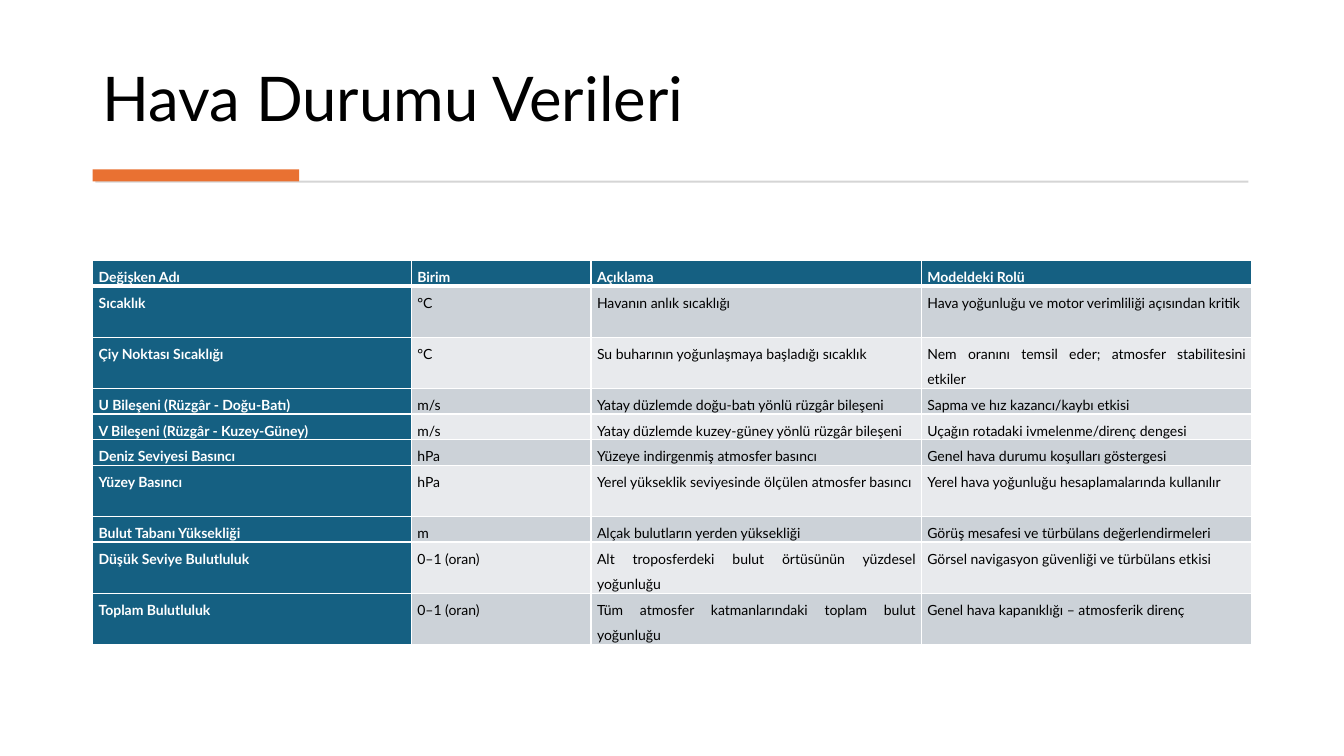
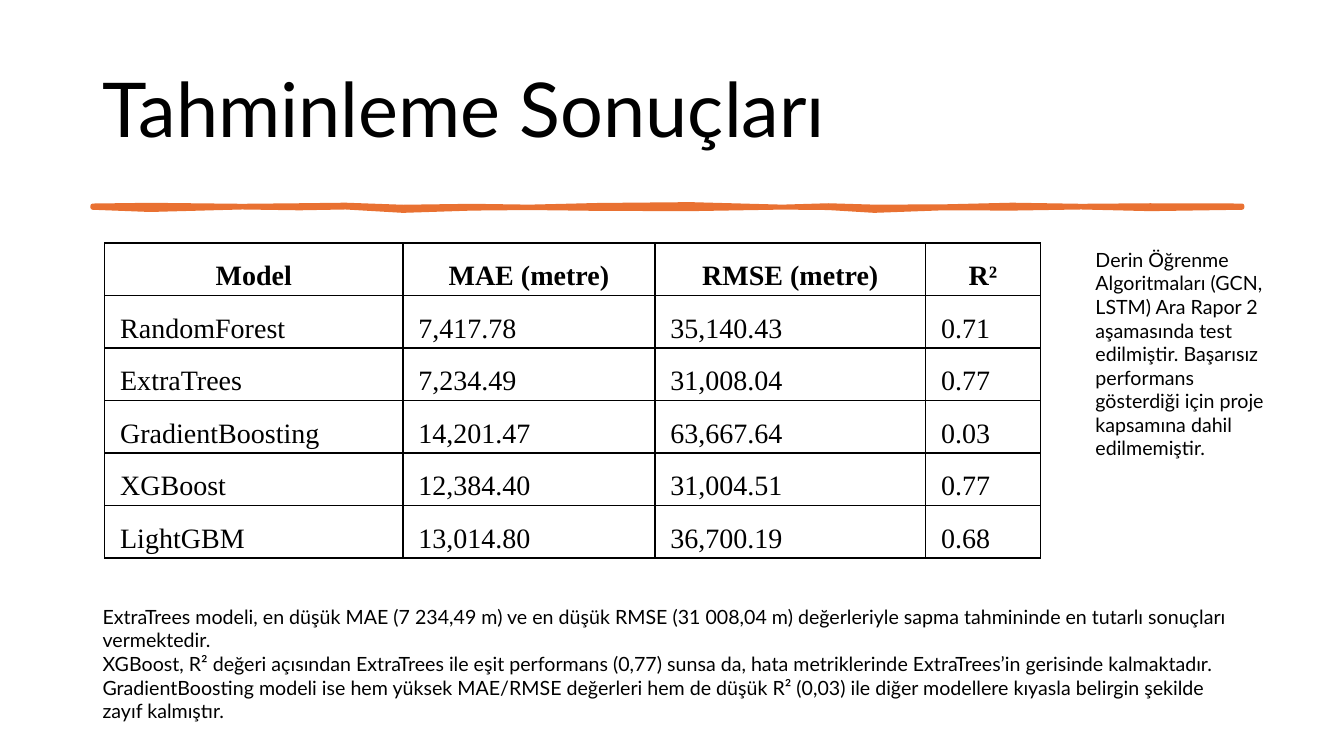
from collections import namedtuple
from dataclasses import dataclass

from pptx import Presentation
from pptx.dml.color import RGBColor as Rgb
from pptx.enum.shapes import MSO_SHAPE as Preset
from pptx.enum.text import MSO_ANCHOR as Anchor, PP_ALIGN as Align
from pptx.oxml.ns import qn
from pptx.util import Pt
from lxml.etree import SubElement

Box = namedtuple("Box", "left top width height")
Look = namedtuple("Look", "size color bold align font")
Edges = namedtuple("Edges", "color header_bottom")


@dataclass(frozen=True)
class Theme:
    font: str = "Lato"
    table_font: str = "Times New Roman"
    black: str = "000000"
    white: str = "FFFFFF"
    orange: str = "E97132"
    gray: str = "D5D5D5"
    blue: str = "156082"
    bands: tuple = ("CCD2D8", "E8EAED")
    title: int = 44
    large_title: int = 54
    note: int = 14
    weather_cell: int = 10
    result_cell: int = 20


THEME = Theme()

WEATHER = [
    ("Değişken Adı", "Birim", "Açıklama", "Modeldeki Rolü"),
    ("Sıcaklık", "°C", "Havanın anlık sıcaklığı",
     "Hava yoğunluğu ve motor verimliliği açısından kritik"),
    ("Çiy Noktası Sıcaklığı", "°C", "Su buharının yoğunlaşmaya başladığı sıcaklık",
     "Nem oranını temsil eder; atmosfer stabilitesini etkiler"),
    ("U Bileşeni (Rüzgâr - Doğu-Batı)", "m/s",
     "Yatay düzlemde doğu-batı yönlü rüzgâr bileşeni", "Sapma ve hız kazancı/kaybı etkisi"),
    ("V Bileşeni (Rüzgâr - Kuzey-Güney)", "m/s",
     "Yatay düzlemde kuzey-güney yönlü rüzgâr bileşeni",
     "Uçağın rotadaki ivmelenme/direnç dengesi"),
    ("Deniz Seviyesi Basıncı", "hPa", "Yüzeye indirgenmiş atmosfer basıncı",
     "Genel hava durumu koşulları göstergesi"),
    ("Yüzey Basıncı", "hPa", "Yerel yükseklik seviyesinde ölçülen atmosfer basıncı",
     "Yerel hava yoğunluğu hesaplamalarında kullanılır"),
    ("Bulut Tabanı Yüksekliği", "m", "Alçak bulutların yerden yüksekliği",
     "Görüş mesafesi ve türbülans değerlendirmeleri"),
    ("Düşük Seviye Bulutluluk", "0–1 (oran)",
     "Alt troposferdeki bulut örtüsünün yüzdesel yoğunluğu",
     "Görsel navigasyon güvenliği ve türbülans etkisi"),
    ("Toplam Bulutluluk", "0–1 (oran)",
     "Tüm atmosfer katmanlarındaki toplam bulut yoğunluğu",
     "Genel hava kapanıklığı – atmosferik direnç"),
]
WEATHER_ROW_LINES = (1, 2, 2, 1, 1, 1, 2, 1, 2, 2)

RESULTS = [
    ("Model", "MAE (metre)", "RMSE (metre)", "R²"),
    ("RandomForest", "7,417.78", "35,140.43", "0.71"),
    ("ExtraTrees", "7,234.49", "31,008.04", "0.77"),
    ("GradientBoosting", "14,201.47", "63,667.64", "0.03"),
    ("XGBoost", "12,384.40", "31,004.51", "0.77"),
    ("LightGBM", "13,014.80", "36,700.19", "0.68"),
]

SIDE_NOTE = (
    "Derin Öğrenme Algoritmaları (GCN, LSTM) Ara Rapor 2 aşamasında test edilmiştir. "
    "Başarısız performans gösterdiği için proje kapsamına dahil edilmemiştir.",
)
FINDINGS = (
    "ExtraTrees modeli, en düşük MAE (7 234,49 m) ve en düşük RMSE (31 008,04 m) "
    "değerleriyle sapma tahmininde en tutarlı sonuçları vermektedir.",
    "XGBoost, R² değeri açısından ExtraTrees ile eşit performans (0,77) sunsa da, "
    "hata metriklerinde ExtraTrees’in gerisinde kalmaktadır.",
    "GradientBoosting modeli ise hem yüksek MAE/RMSE değerleri hem de düşük R² (0,03) "
    "ile diğer modellere kıyasla belirgin şekilde zayıf kalmıştır.",
)

BRUSH_PROFILE = (
    (0, 1, 2.2), (0.05, 0.5, 3.8), (0.13, 1.2, 2), (0.18, 0.8, 2.6), (0.22, 0.4, 2),
    (0.27, 1.9, 4.4), (0.33, 1.2, 2.8), (0.38, 1.8, 2.4), (0.44, 0.6, 3),
    (0.52, 0, 3.2), (0.6, 1.8, 2.1), (0.64, 0.8, 2.4), (0.68, 1.8, 4.4),
    (0.74, 1.6, 2.6), (0.8, 0.4, 2.8), (0.86, 1.2, 2), (0.92, 0.8, 3.2), (1, 1, 2.2),
)


def points(box):
    return [Pt(length) for length in box]


def style_paragraph(para, look):
    para.alignment = look.align
    for span in para.runs:
        span.font.size = Pt(look.size)
        span.font.name = look.font
        span.font.bold = look.bold
        span.font.color.rgb = Rgb.from_string(look.color)


def add_text(page, box, lines, size, anchor=Anchor.TOP, spacing=None):
    frame = page.shapes.add_textbox(*points(box)).text_frame
    frame.word_wrap = True
    frame.vertical_anchor = anchor
    frame.text = "\n".join(lines)
    look = Look(size, THEME.black, False, Align.LEFT, THEME.font)
    for para in frame.paragraphs:
        para.line_spacing = spacing
        style_paragraph(para, look)


def add_title(page, box, text, size, anchor):
    add_text(page, box, (text,), size, anchor, 0.9)


def paint(shape, color):
    shape.shadow.inherit = False
    shape.fill.solid()
    shape.fill.fore_color.rgb = Rgb.from_string(color)
    shape.line.fill.background()


def add_title_rule(page, box):
    thin = Box(box.left + 2, box.top + box.height - 0.6, box.width - 2, 1.4)
    accent = box._replace(width=147.5)
    for part, color in ((thin, THEME.gray), (accent, THEME.orange)):
        paint(page.shapes.add_shape(Preset.RECTANGLE, *points(part)), color)


def add_brush_stroke(page, box):
    upper = [(at, top) for at, top, bottom in BRUSH_PROFILE]
    lower = [(at, bottom) for at, top, bottom in reversed(BRUSH_PROFILE)]
    outline = [(Pt(box.left + at * box.width), Pt(box.top + drop))
               for at, drop in upper + lower]
    builder = page.shapes.build_freeform(*outline[0], scale=1.0)
    builder.add_line_segments(outline[1:], close=True)
    stroke = builder.convert_to_shape()
    paint(stroke, THEME.orange)
    stroke.line.color.rgb = Rgb.from_string(THEME.orange)
    stroke.line.width = Pt(3.25)
    SubElement(stroke.line._get_or_add_ln(), qn("a:round"))


def draw_borders(cell, color, bottom_width):
    properties = cell._tc.get_or_add_tcPr()
    for side in "LRTB":
        width = bottom_width if side == "B" else 1
        line = SubElement(properties, qn("a:ln" + side), w=str(Pt(width)))
        SubElement(SubElement(line, qn("a:solidFill")), qn("a:srgbClr"), val=color)


def add_grid(page, box, rows, widths, heights, margins, edges, cell_style):
    frame = page.shapes.add_table(len(rows), len(widths), *points(box))
    grid = frame.table
    grid.first_row = grid.horz_banding = False
    for column, width in zip(grid.columns, widths):
        column.width = Pt(width)
    for row, height in zip(grid.rows, heights):
        row.height = Pt(height)
    side, top = margins
    for r, texts in enumerate(rows):
        for c, text in enumerate(texts):
            cell = grid.cell(r, c)
            look, fill = cell_style(r, c)
            cell.margin_left = cell.margin_right = Pt(side)
            cell.margin_top, cell.margin_bottom = Pt(top), 0
            draw_borders(cell, edges.color, 1 if r else edges.header_bottom)
            if fill:
                cell.fill.solid()
                cell.fill.fore_color.rgb = Rgb.from_string(fill)
            else:
                cell.fill.background()
            para = cell.text_frame.paragraphs[0]
            para.text = text
            para.line_spacing = 1.5
            para.space_before = para.space_after = Pt(6)
            style_paragraph(para, look)


def weather_style(row, column):
    heading = row == 0 or column == 0
    color = THEME.white if heading else THEME.black
    fill = THEME.blue if heading else THEME.bands[(row - 1) % 2]
    return Look(THEME.weather_cell, color, heading, Align.JUSTIFY, THEME.font), fill


def result_style(row, column):
    align = Align.LEFT if row else Align.CENTER
    return Look(THEME.result_cell, THEME.black, row == 0, align, THEME.table_font), None


def add_weather_table(page, box):
    unit = box.height / sum(WEATHER_ROW_LINES)
    heights = [unit * lines for lines in WEATHER_ROW_LINES]
    widths = [box.width * share for share in (0.275, 0.155, 0.285, 0.285)]
    add_grid(page, box, WEATHER, widths, heights, (4.3, 0),
             Edges(THEME.white, 3), weather_style)


def add_result_table(page, box):
    heights = [box.height / len(RESULTS)] * len(RESULTS)
    add_grid(page, box, RESULTS, (213, 180, 193.4, 82), heights, (11, 1.5),
             Edges(THEME.black, 1), result_style)


def build_weather_page(page, box):
    left, top, width, height = box
    add_title(page, Box(left, top + 20, width, 80), "Hava Durumu Verileri",
              THEME.title, Anchor.BOTTOM)
    add_title_rule(page, Box(left, top + 121, width - 2.5, 8.6))
    add_weather_table(page, Box(left, top + 186, width, 274.3))


def build_result_page(page, box):
    left, top, width, height = box
    add_title(page, Box(left, top + 29, width, 104), "Tahminleme Sonuçları",
              THEME.large_title, Anchor.MIDDLE)
    add_brush_stroke(page, Box(left, top + 146, width - 7, 5))
    add_result_table(page, Box(left + 8.6, top + 173.5, 668.4, 223.5))
    add_text(page, Box(left + 709.2, top + 173.5, 146, 160), SIDE_NOTE, THEME.note)
    add_text(page, Box(left, top + 428.5, width, 92), FINDINGS, THEME.note)


def main():
    deck = Presentation()
    deck.slide_width, deck.slide_height = Pt(960), Pt(540)
    content = Box(66.2, 0, 828, 540)
    for build in (build_weather_page, build_result_page):
        build(deck.slides.add_slide(deck.slide_layouts[6]), content)
    deck.save("out.pptx")


if __name__ == "__main__":
    main()
